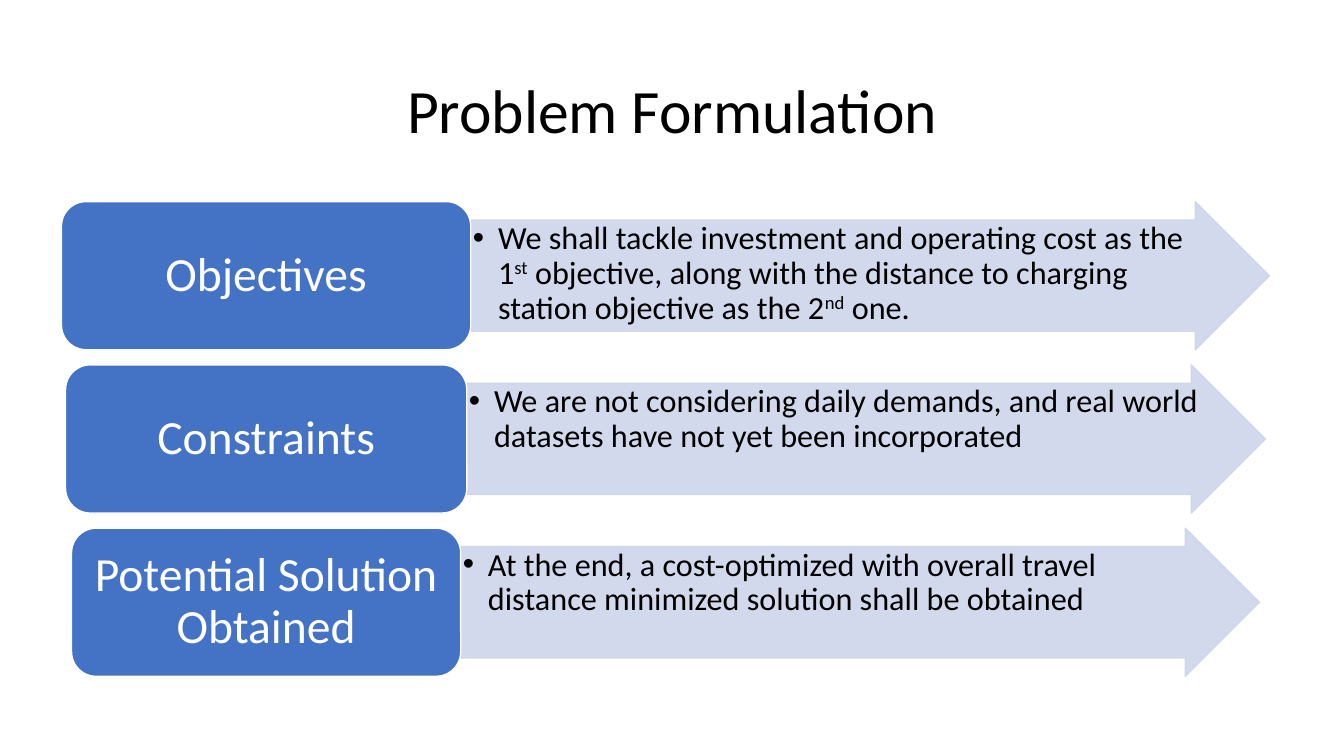
"""Build the Problem Formulation slide: three labels, each with an arrow of detail."""
from lxml import etree
from pptx import Presentation
from pptx.dml.color import RGBColor
from pptx.enum.shapes import MSO_SHAPE
from pptx.enum.text import MSO_ANCHOR, PP_ALIGN
from pptx.oxml.ns import qn
from pptx.util import Inches, Pt

TITLE = "Problem Formulation"
ROWS = [
    ("Objectives", 0.61, 4.06, [
        ("We shall tackle investment and operating cost as the 1", False),
        ("st", True),
        (" objective, along with the distance to charging station objective as the 2", False),
        ("nd", True),
        (" one.", False)]),
    ("Constraints", 0.65, 3.98, [
        ("We are not considering daily demands, and real world datasets "
         "have not yet been incorporated", False)]),
    ("Potential Solution Obtained", 0.71, 3.86, [
        ("At the end, a cost-optimized with overall travel distance minimized "
         "solution shall be obtained", False)]),
]

BLACK = RGBColor(0x00, 0x00, 0x00)
WHITE = RGBColor(0xFF, 0xFF, 0xFF)
BLUE = RGBColor(0x44, 0x72, 0xC4)
PALE = RGBColor(0xCF, 0xD5, 0xEA)
ARROW, ROUND = MSO_SHAPE.RIGHT_ARROW, MSO_SHAPE.ROUNDED_RECTANGLE
LEFT, CENTER = PP_ALIGN.LEFT, PP_ALIGN.CENTER
TOP, MIDDLE = MSO_ANCHOR.TOP, MSO_ANCHOR.MIDDLE
FONT = "Calibri"
FIRST, STEP, HIGH, LONG = 2, 1.62, 1.47, 7.92
DROP, SPAN = 0.18, 7.37
INDENT = Inches(0.25)


def write(shape, parts, size, color, align, anchor, inset):
    frame = shape.text_frame
    frame.word_wrap = True
    frame.vertical_anchor = anchor
    (frame.margin_left, frame.margin_top,
     frame.margin_right, frame.margin_bottom) = map(Inches, inset)
    para = frame.paragraphs[0]
    para.alignment = align
    para.line_spacing = 0.9
    for text, raised in parts:
        run = para.add_run()
        run.text = text
        run.font.name = FONT
        run.font.size = Pt(size)
        run.font.color.rgb = color
        if raised:
            run.font._element.set("baseline", "30000")
    return para


def draw(slide, kind, box, fill, edge):
    shape = slide.shapes.add_shape(kind, *map(Inches, box))
    shape.shadow.inherit = False
    shape.fill.solid()
    shape.fill.fore_color.rgb = fill
    shape.line.color.rgb = edge
    shape.line.width = Pt(1)
    return shape


def fade(shape):
    for color in shape._element.spPr.iter(qn("a:srgbClr")):
        etree.SubElement(color, qn("a:alpha")).set("val", "90000")


def bullet(para):
    props = para._p.get_or_add_pPr()
    props.set("marL", str(INDENT))
    props.set("indent", str(-INDENT))
    etree.SubElement(props, qn("a:buFont")).set("typeface", "Arial")
    etree.SubElement(props, qn("a:buChar")).set("char", "•")


def main():
    deck = Presentation()
    deck.slide_width, deck.slide_height = Inches(13.33), Inches(7.5)
    slide = deck.slides.add_slide(deck.slide_layouts[6])
    title = slide.shapes.add_textbox(*map(Inches, (0.92, 0.4, 11.5, 1.45)))
    write(title, [(TITLE, False)], 44, BLACK, CENTER, MIDDLE, (0.1, 0.05, 0.1, 0.05))

    for row, (name, left, wide, parts) in enumerate(ROWS):
        top, edge = FIRST + row * STEP, left + wide
        arrow = draw(slide, ARROW, (edge, top, LONG, HIGH), PALE, PALE)
        arrow.adjustments[0], arrow.adjustments[1] = 0.75, 0.5
        fade(arrow)
        box = (edge, top + DROP, SPAN, HIGH - 2 * DROP)
        detail = slide.shapes.add_textbox(*map(Inches, box))
        bullet(write(detail, parts, 23, BLACK, LEFT, TOP, (0.02, 0.02, 0.02, 0.02)))
        label = draw(slide, ROUND, (left, top, wide, HIGH), BLUE, WHITE)
        write(label, [(name, False)], 34, WHITE, CENTER, MIDDLE, (0.14, 0.07, 0.14, 0.07))
    deck.save("out.pptx")


if __name__ == "__main__":
    main()
